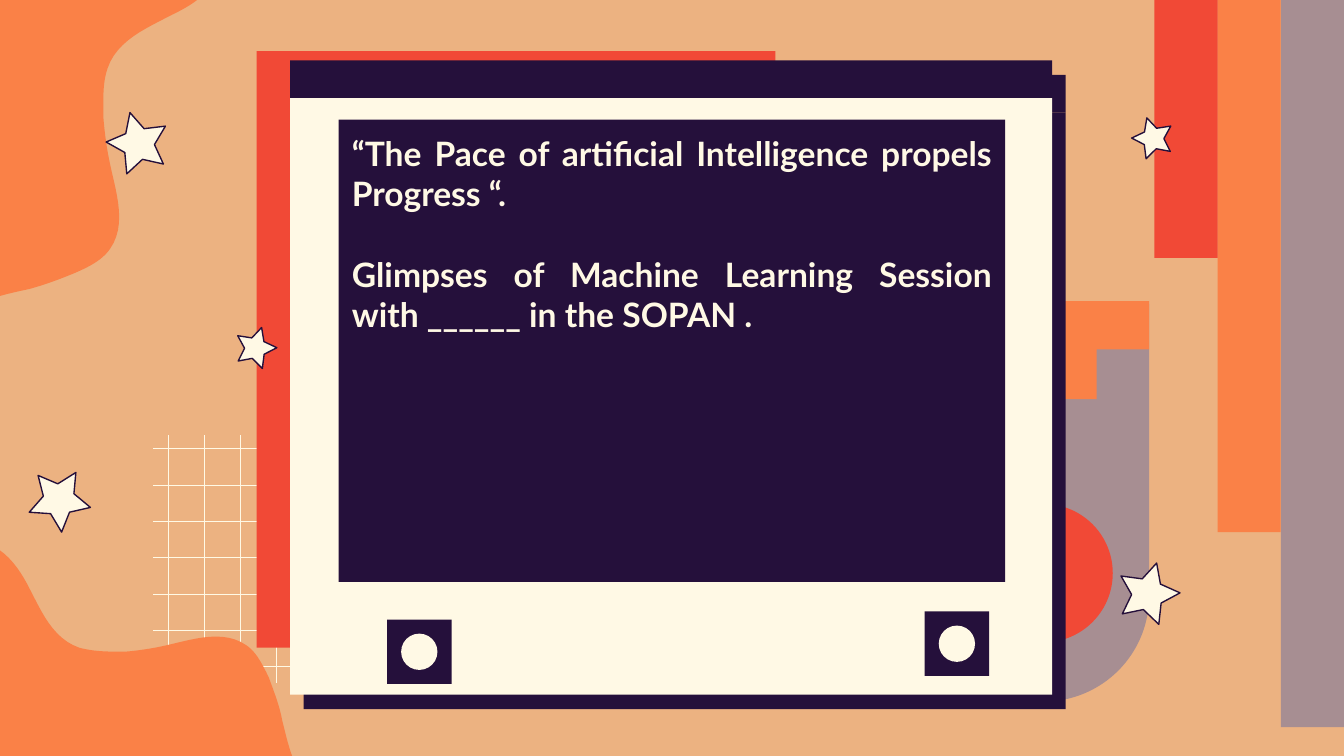
"""Build a quote slide: a framed card on a background of bars, blobs, grid and stars."""
from math import cos, pi, radians, sin

from lxml import etree
from pptx import Presentation
from pptx.dml.color import RGBColor
from pptx.enum.shapes import MSO_CONNECTOR, MSO_SHAPE
from pptx.enum.text import MSO_ANCHOR, PP_ALIGN
from pptx.oxml import parse_xml
from pptx.oxml.ns import nsdecls, qn
from pptx.util import Inches, Pt

RECTANGLE, OVAL = MSO_SHAPE.RECTANGLE, MSO_SHAPE.OVAL
ARCH = MSO_SHAPE.ROUND_2_SAME_RECTANGLE
STRAIGHT = MSO_CONNECTOR.STRAIGHT
TOP, JUSTIFY = MSO_ANCHOR.TOP, PP_ALIGN.JUSTIFY

COLORS = {"sand": "ECB281", "orange": "FA8147", "red": "F14936",
          "mauve": "A78E92", "cream": "FFF9E5", "navy": "25103B"}
QUOTE = [
    "“The Pace of artificial Intelligence propels Progress “.",
    "Glimpses of Machine Learning Session with ______ in the SOPAN .",
]

PAGE_WIDTH = 10
STAIRS = [(6.98, 2.24), (8.55, 2.24), (8.55, 2.6), (8.16, 2.6), (8.16, 2.97),
          (7.76, 2.97), (7.76, 3.32), (7.37, 3.32), (7.37, 3.69), (6.98, 3.69)]
GRID_LEFT, GRID_TOP, GRID_WIDTH, GRID_HEIGHT = 1.14, 3.24, 1.83, 1.84
GRID_GAP, GRID_COLUMNS, GRID_ROWS = 0.27, 4, 7

# Each blob is a start point, its Bezier curves, and the straight corners that close it.
BLOBS = [
    ((-0.18, 4.03),
     [((-0.17, 4.03), (-0.17, 4.03), (-0.17, 4.03)),
      ((0.02, 4.05), (0.14, 4.22), (0.22, 4.38)),
      ((0.31, 4.55), (0.39, 4.75), (0.59, 4.82)),
      ((0.7, 4.85), (0.82, 4.85), (0.93, 4.85)),
      ((1.05, 4.84), (1.17, 4.82), (1.29, 4.79)),
      ((1.46, 4.75), (1.67, 4.69), (1.83, 4.8)),
      ((1.91, 4.85), (1.96, 4.96), (2, 5.04)),
      ((2.04, 5.15), (2.08, 5.25), (2.1, 5.36)),
      ((2.13, 5.48), (2.16, 5.62), (2.22, 5.73))],
     [(-0.18, 5.73)]),
    ((1.66, -0.32),
     [((1.66, -0.31), (1.66, -0.31), (1.66, -0.3)),
      ((1.63, -0.09), (1.45, 0.03), (1.28, 0.11)),
      ((1.09, 0.21), (0.87, 0.3), (0.8, 0.51)),
      ((0.76, 0.63), (0.77, 0.76), (0.77, 0.88)),
      ((0.78, 1.01), (0.8, 1.14), (0.83, 1.27)),
      ((0.87, 1.45), (0.94, 1.68), (0.82, 1.85)),
      ((0.76, 1.94), (0.65, 1.99), (0.56, 2.03)),
      ((0.44, 2.08), (0.33, 2.12), (0.22, 2.15)),
      ((0.08, 2.18), (-0.06, 2.21), (-0.18, 2.27))],
     [(-0.18, -0.32)]),
]
BAR_TOP, BAR_WIDTH = -0.23, 0.47
BARS = [("mauve", 5.64), ("orange", 4.19), ("red", 2.15)]
# Center x, center y, outer radius, direction of one tip in degrees.
STARS = [(8.58, 1.03, 0.16, 181), (8.54, 4.42, 0.24, -2), (1.03, 1.07, 0.24, 183),
         (1.9, 2.59, 0.16, -1), (0.44, 3.72, 0.24, 13.5)]
CARD_LEFT, CARD_TOP, CARD_WIDTH = 2.16, 0.45, 5.67
CARD_PARTS = [("navy", 0.28), ("cream", 4.44)]
BADGE_SIZE, DOT_SIZE = 0.48, 0.27
BADGES = [(2.88, 4.61), (6.88, 4.55)]


def color(name):
    return RGBColor.from_string(COLORS[name])


def paint(shape, fill, line=None):
    shape.shadow.inherit = False
    shape.fill.solid()
    shape.fill.fore_color.rgb = color(fill)
    if line:
        shape.line.color.rgb = color(line)
        shape.line.width = Pt(0.75)
    else:
        shape.line.fill.background()
    return shape


def add_preset(page, preset, left, top, width, height, fill):
    lengths = [Inches(value) for value in (left, top, width, height)]
    return paint(page.shapes.add_shape(preset, *lengths), fill)


def add_outline(page, points, fill, line=None):
    corners = [(Inches(x), Inches(y)) for x, y in points]
    builder = page.shapes.build_freeform(*corners[0])
    builder.add_line_segments(corners[1:], close=True)
    return paint(builder.convert_to_shape(), fill, line)


def add_grid_line(page, x1, y1, x2, y2):
    line = page.shapes.add_connector(STRAIGHT, *[Inches(v) for v in (x1, y1, x2, y2)])
    line.line.color.rgb = color("cream")
    line.line.width = Pt(0.4)
    etree.SubElement(line._element.spPr, qn("a:effectLst"))


def add_hard_shadow(shape):
    effects = shape._element.spPr.find(qn("a:effectLst"))
    effects.append(parse_xml(
        f'<a:outerShdw {nsdecls("a")} dist="{Pt(10.5)}" dir="{47 * 60000}" '
        f'algn="bl" rotWithShape="0"><a:srgbClr val="{COLORS["navy"]}"/></a:outerShdw>'))


def blob_points(start, curves, corners, steps=12):
    points = [start]
    for first, second, end in curves:
        begin = points[-1]
        for step in range(1, steps + 1):
            t = step / steps
            weights = ((1 - t) ** 3, 3 * t * (1 - t) ** 2, 3 * t * t * (1 - t), t ** 3)
            points.append(tuple(
                sum(w * p[axis] for w, p in zip(weights, (begin, first, second, end)))
                for axis in (0, 1)))
    return points + corners


def star_points(x, y, radius, direction):
    points = []
    for index in range(10):
        angle = radians(direction) + index * pi / 5
        reach = radius / 2 if index % 2 else radius
        points.append((x + reach * cos(angle), y + reach * sin(angle)))
    return points


def add_background(page):
    page.background.fill.solid()
    page.background.fill.fore_color.rgb = color("sand")
    arch = add_preset(page, ARCH, 6.98, 2.26, 1.57, 2.96, "mauve")
    arch.adjustments[0] = 0.5
    arch.rotation = 180
    add_preset(page, OVAL, 7.25, 3.75, 1.03, 1.03, "red")
    add_outline(page, STAIRS, "orange")
    for column in range(GRID_COLUMNS):
        x = GRID_LEFT + 0.11 + column * GRID_GAP
        add_grid_line(page, x, GRID_TOP, x, GRID_TOP + GRID_HEIGHT)
    for row in range(GRID_ROWS):
        y = GRID_TOP + 0.1 + row * GRID_GAP
        add_grid_line(page, GRID_LEFT, y, GRID_LEFT + GRID_WIDTH, y)
    add_preset(page, RECTANGLE, 1.91, 0.38, 3.86, 4.44, "red")
    for blob in BLOBS:
        add_outline(page, blob_points(*blob), "orange")
    for index, (fill, height) in enumerate(BARS, 1):
        left = PAGE_WIDTH - index * BAR_WIDTH
        add_preset(page, RECTANGLE, left, BAR_TOP, BAR_WIDTH, height, fill)
    for star in STARS:
        add_outline(page, star_points(*star), "cream", "navy")


def add_card(page):
    top = CARD_TOP
    for fill, height in CARD_PARTS:
        part = add_preset(page, RECTANGLE, CARD_LEFT, top, CARD_WIDTH, height, fill)
        add_hard_shadow(part)
        top += height
    inset = (BADGE_SIZE - DOT_SIZE) / 2
    for left, top in BADGES:
        add_preset(page, RECTANGLE, left, top, BADGE_SIZE, BADGE_SIZE, "navy")
        add_preset(page, OVAL, left + inset, top + inset, DOT_SIZE, DOT_SIZE, "cream")


def add_quote(page):
    box = add_preset(page, RECTANGLE, 2.52, 0.89, 4.96, 3.44, "navy")
    frame = box.text_frame
    frame.word_wrap = True
    frame.vertical_anchor = TOP
    frame.margin_left = frame.margin_right = Inches(0.1)
    frame.margin_top = frame.margin_bottom = Inches(0.1)
    for index, text in enumerate(QUOTE):
        para = frame.add_paragraph() if index else frame.paragraphs[0]
        para.text = text
        para.alignment = JUSTIFY
        if index:
            para.space_before = Pt(21.6)
        para.font.name = "Lato"
        para.font.size = Pt(18)
        para.font.bold = True
        para.font.color.rgb = color("cream")


def main():
    deck = Presentation()
    deck.slide_width = Inches(PAGE_WIDTH)
    deck.slide_height = Inches(PAGE_WIDTH * 9 / 16)
    page = deck.slides.add_slide(deck.slide_layouts[6])
    add_background(page)
    add_card(page)
    add_quote(page)
    deck.save("out.pptx")


if __name__ == "__main__":
    main()
